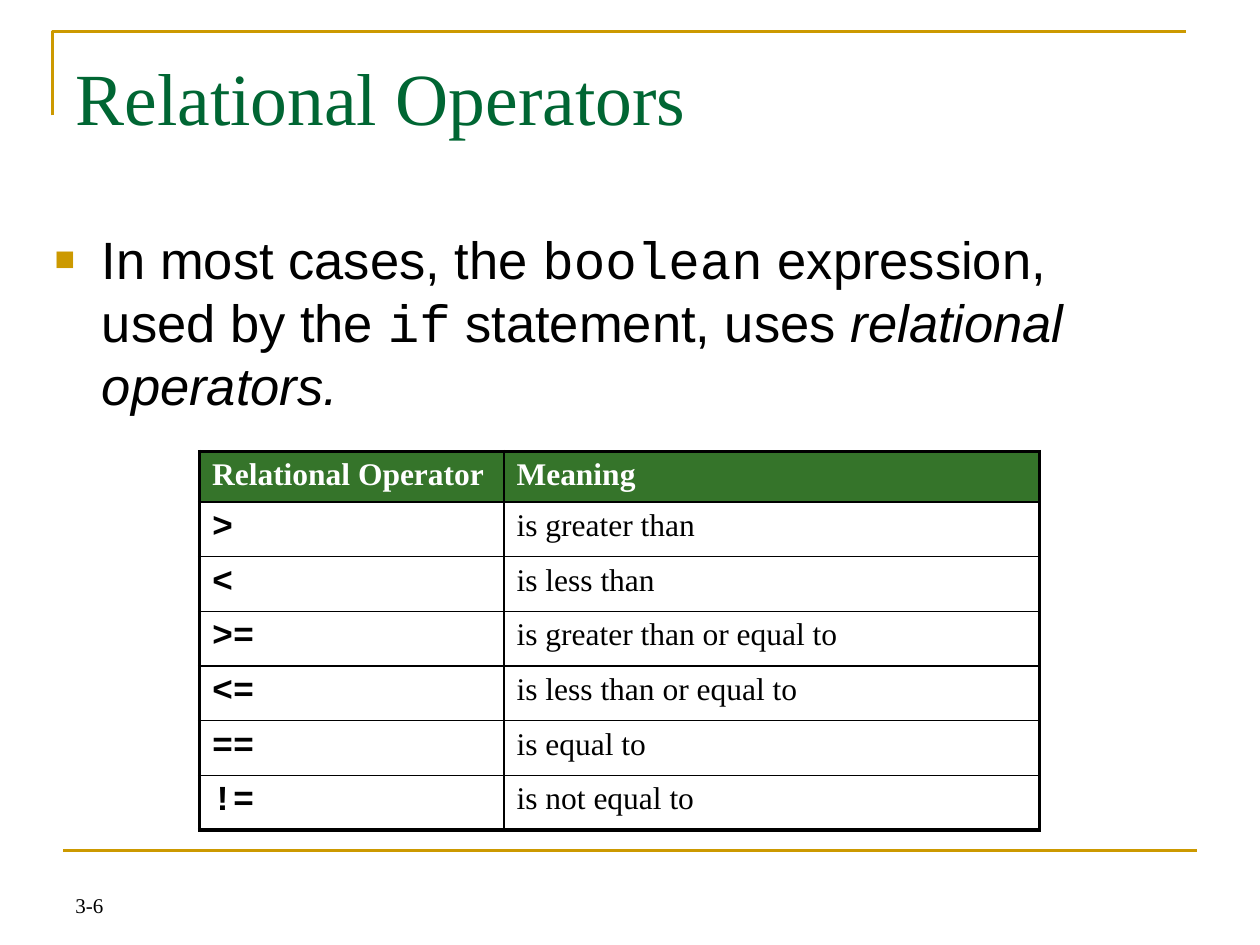
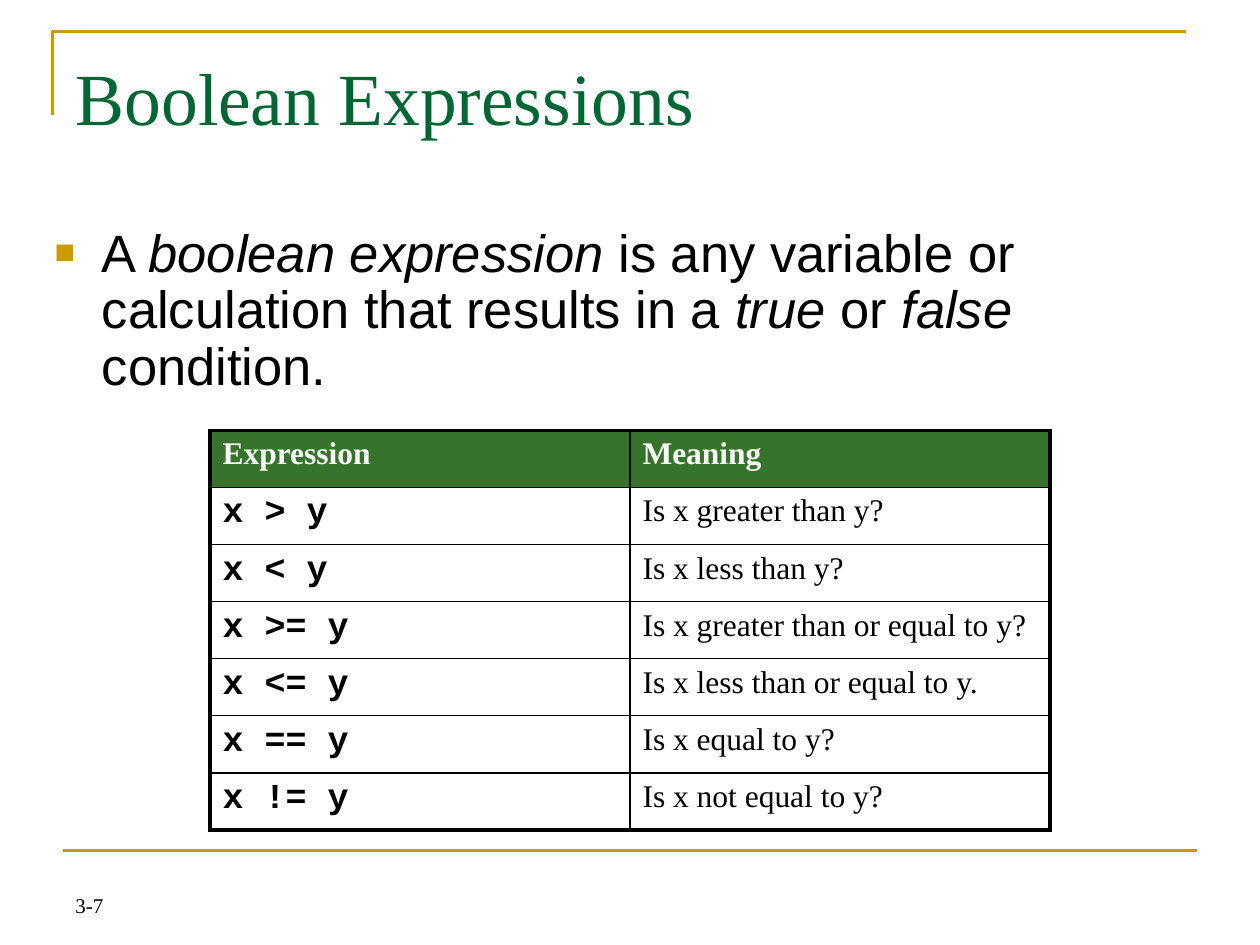
"""Build two slides on relational operators and boolean expressions."""
from lxml.etree import SubElement
from pptx import Presentation
from pptx.dml.color import RGBColor
from pptx.enum.text import MSO_ANCHOR, MSO_AUTO_SIZE, PP_ALIGN
from pptx.oxml.ns import qn
from pptx.util import Pt

GOLD = RGBColor(0xCC, 0x99, 0x00)
TITLE_GREEN = RGBColor(0x00, 0x66, 0x33)
HEADER_GREEN = RGBColor(0x35, 0x74, 0x2A)
BLACK = RGBColor(0, 0, 0)
WHITE = RGBColor(0xFF, 0xFF, 0xFF)
SERIF, SANS, MONO = "Times New Roman", "Arial", "Courier New"
THIN, THICK = 1, 2.25

SLIDES = [
    {
        "title": "Relational Operators",
        "number": "3-6",
        "line_spacing": 1.0,
        "statement": [
            ("In most cases, the ", SANS, False),
            ("boolean", MONO, False),
            (" expression, used by the ", SANS, False),
            ("if", MONO, False),
            (" statement, uses ", SANS, False),
            ("relational operators.", SANS, True),
        ],
        "corner": (114, 258),
        "columns": (174, 306),
        "header_height": 27.4,
        "row_height": 29.9,
        "rows": [
            ("Relational Operator", "Meaning"),
            (">", "is greater than"),
            ("<", "is less than"),
            (">=", "is greater than or equal to"),
            ("<=", "is less than or equal to"),
            ("==", "is equal to"),
            ("!=", "is not equal to"),
        ],
    },
    {
        "title": "Boolean Expressions",
        "number": "3-7",
        "line_spacing": 0.9,
        "statement": [
            ("A ", SANS, False),
            ("boolean expression", SANS, True),
            (" is any variable or calculation that results in a ", SANS, False),
            ("true", SANS, True),
            (" or ", SANS, False),
            ("false", SANS, True),
            (" condition.", SANS, False),
        ],
        "corner": (120, 246),
        "columns": (240, 240),
        "header_height": 32.6,
        "row_height": 32.6,
        "rows": [
            ("Expression", "Meaning"),
            ("x > y", "Is x greater than y?"),
            ("x < y", "Is x less than y?"),
            ("x >= y", "Is x greater than or equal to y?"),
            ("x <= y", "Is x less than or equal to y."),
            ("x == y", "Is x equal to y?"),
            ("x != y", "Is x not equal to y?"),
        ],
    },
]


def add_run(paragraph, text, font, size, color, bold=False, italic=False):
    run = paragraph.add_run()
    run.text = text
    run.font.name = font
    run.font.size = Pt(size)
    run.font.color.rgb = color
    run.font.bold = bold
    run.font.italic = italic


def set_borders(cell, left, right, top, bottom):
    properties = cell._tc.get_or_add_tcPr()
    for side, width in zip("LRTB", (left, right, top, bottom)):
        border = SubElement(properties, qn(f"a:ln{side}"), w=str(int(Pt(width))))
        fill = SubElement(border, qn("a:solidFill"))
        SubElement(fill, qn("a:srgbClr"), val=str(BLACK))


deck = Presentation()
deck.slide_width, deck.slide_height = Pt(720), Pt(540)

for content in SLIDES:
    slide = deck.slides.add_slide(deck.slide_layouts[1])
    shapes = slide.shapes

    outline = shapes.build_freeform(Pt(30), Pt(66))
    outline.add_line_segments([(Pt(30), Pt(18)), (Pt(678), Pt(18))], close=False)
    corner_frame = outline.convert_to_shape()
    corner_frame.shadow.inherit = False
    corner_frame.fill.background()

    footer_rule = shapes.add_connector(1, Pt(36), Pt(486), Pt(684), Pt(486))
    SubElement(footer_rule._element.spPr, qn("a:effectLst"))
    for rule in (corner_frame, footer_rule):
        rule.line.color.rgb = GOLD
        rule.line.width = Pt(1.5)

    page_number = shapes.add_textbox(Pt(36), Pt(492), Pt(168), Pt(36)).text_frame
    page_number.word_wrap = True
    page_number.vertical_anchor = MSO_ANCHOR.BOTTOM
    add_run(page_number.paragraphs[0], content["number"], SERIF, 12, BLACK)

    heading = shapes.title
    heading.left, heading.top, heading.width, heading.height = Pt(36), Pt(21.6), Pt(648), Pt(90)
    statement = slide.placeholders[1]
    statement.left, statement.top, statement.width, statement.height = Pt(24), Pt(126), Pt(653), Pt(122)
    for placeholder in (heading, statement):
        placeholder.text_frame.auto_size = MSO_AUTO_SIZE.NONE
        placeholder.text_frame.vertical_anchor = MSO_ANCHOR.TOP
        placeholder.text_frame.paragraphs[0].alignment = PP_ALIGN.LEFT
    heading.text_frame.margin_top = Pt(8)
    add_run(heading.text_frame.paragraphs[0], content["title"], SERIF, 42, TITLE_GREEN)

    bullet = statement.text_frame.paragraphs[0]
    bullet.line_spacing = content["line_spacing"]
    bullet.space_before = Pt(3.6)
    bullet_format = bullet._p.get_or_add_pPr()
    bullet_format.set("marL", str(int(Pt(27))))
    bullet_format.set("indent", str(int(Pt(-27))))
    bullet_color = SubElement(bullet_format, qn("a:buClr"))
    SubElement(bullet_color, qn("a:srgbClr"), val=str(GOLD))
    SubElement(bullet_format, qn("a:buSzPct"), val="65000")
    SubElement(bullet_format, qn("a:buFont"), typeface=SANS)
    SubElement(bullet_format, qn("a:buChar"), char="■")
    for text, font, italic in content["statement"]:
        add_run(bullet, text, font, 30, BLACK, italic=italic)

    rows, columns = content["rows"], content["columns"]
    left, top = content["corner"]
    last_row = len(rows) - 1
    height = content["header_height"] + last_row * content["row_height"]
    meanings = shapes.add_table(
        len(rows), len(columns), Pt(left), Pt(top), Pt(sum(columns)), Pt(height)
    ).table
    meanings.first_row = meanings.horz_banding = False
    for column, width in zip(meanings.columns, columns):
        column.width = Pt(width)

    for r, row in enumerate(rows):
        is_header = r == 0
        meanings.rows[r].height = Pt(content["header_height" if is_header else "row_height"])
        for c, text in enumerate(row):
            cell = meanings.cell(r, c)
            set_borders(
                cell,
                left=THICK if c == 0 else THIN,
                right=THICK if c == 1 else THIN,
                top=THICK if is_header else THIN,
                bottom=THICK if r == last_row else THIN,
            )
            paragraph = cell.text_frame.paragraphs[0]
            if is_header:
                cell.fill.solid()
                cell.fill.fore_color.rgb = HEADER_GREEN
                add_run(paragraph, text, SERIF, 18, WHITE, bold=True)
            else:
                cell.fill.background()
                font, size = (MONO, 20) if c == 0 else (SERIF, 18)
                add_run(paragraph, text, font, size, BLACK, bold=c == 0)

deck.save("out.pptx")
